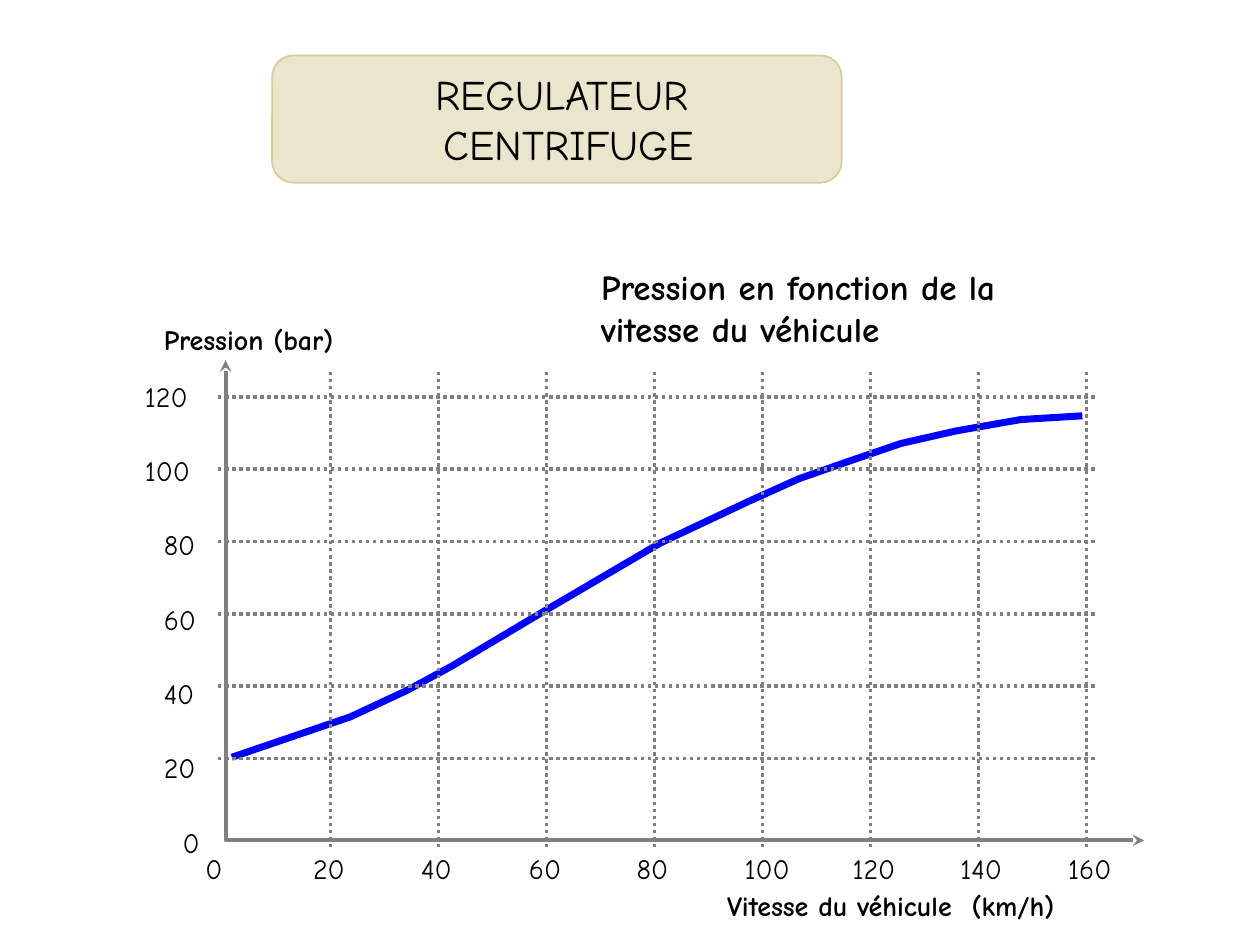
"""Build the slide on centrifugal governor pressure against vehicle speed."""
import pptx
import pptx.util
import pptx.dml.color
import pptx.enum.dml
import pptx.enum.shapes
import pptx.enum.text
import pptx.oxml.ns
import lxml.etree

COLS, ROWS = 100, 75
WIDE, HIGH = pptx.util.Inches(10), pptx.util.Inches(7.5)
HUES = {"ink": "000000", "grid": "808080", "curve": "0000FF", "sand": "D7CC9D"}
FACE = "Comic Neue"
TICK = {"size": pptx.util.Pt(16), "name": FACE}
NAME = {**TICK, "bold": True}
HEAD = {**NAME, "size": pptx.util.Pt(20)}
TITLE = {"size": pptx.util.Pt(24), "name": FACE, "bold": False}
DOTS = pptx.enum.dml.MSO_LINE.ROUND_DOT
CURVE = [(18.4, 60.1), (27.8, 56.9), (32.3, 54.8), (35.8, 52.9), (43.2, 48.5),
         (52.4, 43.1), (59.4, 39.8), (63.4, 38), (67.4, 36.6), (71.5, 35.2),
         (75.9, 34.2), (81, 33.3), (85.9, 33)]
AXES = [(17.9, 28.6), (17.9, 66.7), (90.8, 66.7)]


def col(num):
    return round(WIDE * num / COLS)


def row(num):
    return round(HIGH * num / ROWS)


def hue(key):
    return pptx.dml.color.RGBColor.from_string(HUES[key])


def node(home, tag, **vals):
    return lxml.etree.SubElement(home, pptx.oxml.ns.qn(tag), **vals)


def apply(item, vals):
    for key, val in vals.items():
        setattr(item, key, val)


def place(shape, left, top, wide, high):
    apply(shape, {"left": col(left), "top": row(top),
                  "width": col(wide), "height": row(high)})


def write(frame, lines, form, wrap=False, pad=(0, 0), align=None):
    apply(frame, {"word_wrap": wrap,
                  "margin_left": col(pad[0]), "margin_right": col(pad[0]),
                  "margin_top": row(pad[1]), "margin_bottom": row(pad[1]),
                  "vertical_anchor": pptx.enum.text.MSO_ANCHOR.TOP,
                  "auto_size": pptx.enum.text.MSO_AUTO_SIZE.SHAPE_TO_FIT_TEXT})
    for num, line in enumerate(lines):
        para = frame.add_paragraph() if num else frame.paragraphs[0]
        para.alignment = align
        run = para.add_run()
        run.text = line
        apply(run.font, form)
        run.font.color.rgb = hue("ink")


def label(slide, text, box, form, wrap=False):
    shape = slide.shapes.add_textbox(0, 0, 0, 0)
    write(shape.text_frame, [text], form, wrap)
    place(shape, *box)


def stroke(shape, key, width, dash=None):
    shape.line.color.rgb = hue(key)
    apply(shape.line, {"width": pptx.util.Pt(width), "dash_style": dash})


def rule(slide, start, end):
    line = slide.shapes.add_connector(
        pptx.enum.shapes.MSO_CONNECTOR.STRAIGHT,
        col(start[0]), row(start[1]), col(end[0]), row(end[1]))
    stroke(line, "grid", 0, DOTS)
    node(line._element.spPr, "a:effectLst")


def trace(slide, spots, key, width, heads=()):
    spots = [(col(left), row(top)) for left, top in spots]
    pen = slide.shapes.build_freeform(*spots[0])
    pen.add_line_segments(spots[1:], close=False)
    shape = pen.convert_to_shape()
    shape.fill.background()
    shape.shadow.inherit = False
    stroke(shape, key, width)
    for tag in heads:
        node(shape.line._get_or_add_ln(), tag, type="stealth")


def ticks(slide):
    for num in range(7):
        text = str(20 * num)
        size = len(text)
        label(slide, text, (16 - 1.5 * size, 65.5 - 5.9 * num, 0.2 + 1.2 * size, 2.7), TICK)
    for num in range(9):
        text = str(20 * num)
        label(slide, text, (16.3 + 8.56 * num, 67.6, 0.2 + 1.2 * len(text), 2.7), TICK)


def grid(slide):
    for num in range(8):
        left = 26.25 + 8.57 * num
        rule(slide, (left, 67.25), (left, 29.35))
    for num in range(6):
        top = 60.2 - 5.74 * num
        rule(slide, (86.9, top), (17.25, top))


def banner(slide):
    panel = slide.shapes.add_shape(
        pptx.enum.shapes.MSO_SHAPE.ROUNDED_RECTANGLE, 0, 0, 0, 0)
    place(panel, 21.6, 4.4, 45.2, 10.1)
    panel.shadow.inherit = False
    panel.fill.solid()
    panel.fill.fore_color.rgb = hue("sand")
    tint = panel._element.spPr.find(
        pptx.oxml.ns.qn("a:solidFill") + "/" + pptx.oxml.ns.qn("a:srgbClr"))
    node(tint, "a:alpha", val="50000")
    stroke(panel, "sand", 1)
    title = slide.shapes.title
    write(title.text_frame, ["REGULATEUR ", "CENTRIFUGE"], TITLE, pad=(1, 0.5),
          align=pptx.enum.text.PP_ALIGN.CENTER)
    place(title, 32.6, 4.9, 25.1, 9)
    panel._element.addnext(title._element)


def main():
    deck = pptx.Presentation()
    apply(deck, {"slide_width": WIDE, "slide_height": HIGH})
    slide = deck.slides.add_slide(deck.slide_layouts[5])
    ticks(slide)
    label(slide, "Pression en fonction de la vitesse du véhicule",
          (47.7, 21.1, 36.2, 6.7), HEAD, True)
    label(slide, "Vitesse du véhicule  (km/h)", (57.7, 70.5, 29.5, 2.7), NAME)
    label(slide, "Pression (bar)", (13, 25.6, 14.8, 2.7), NAME)
    trace(slide, CURVE, "curve", 4)
    grid(slide)
    trace(slide, AXES, "grid", 2.25, ("a:headEnd", "a:tailEnd"))
    banner(slide)
    deck.save("out.pptx")


main()
